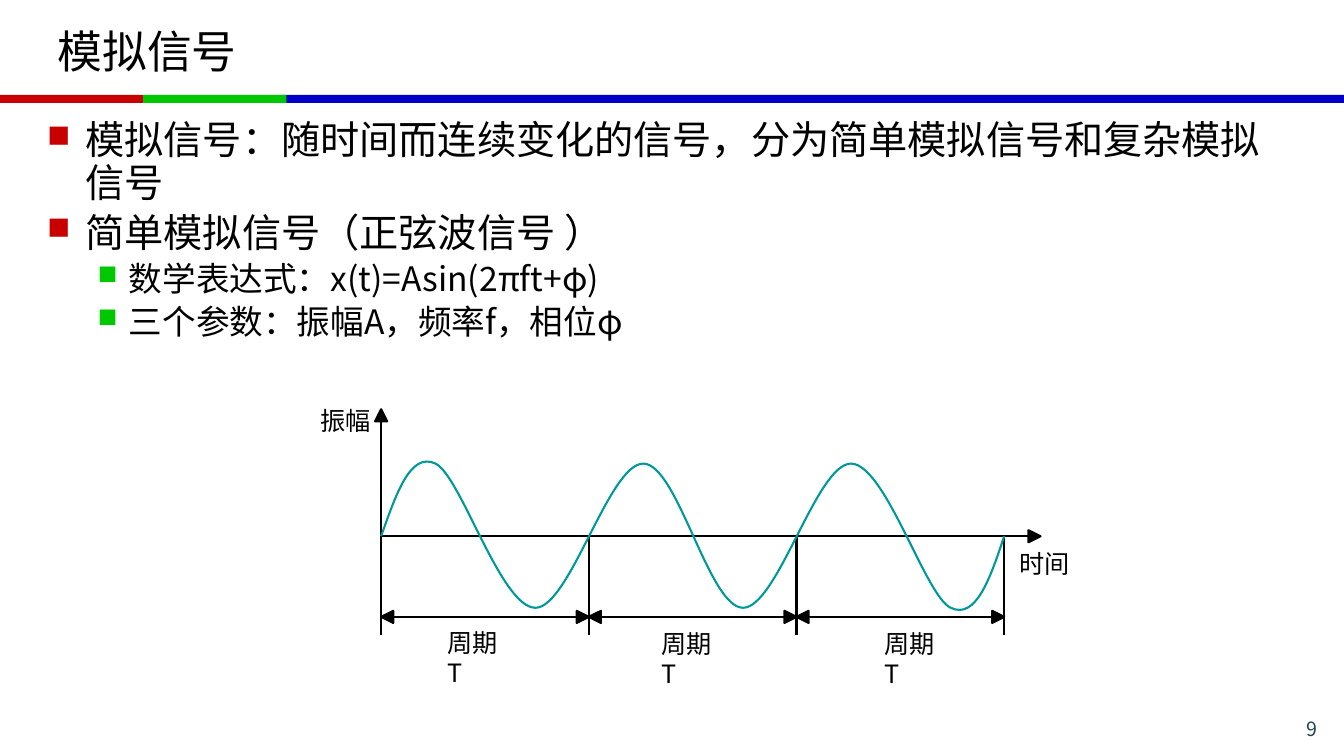
from lxml import etree
from pptx import Presentation
from pptx.dml.color import RGBColor
from pptx.enum.shapes import MSO_CONNECTOR, MSO_SHAPE
from pptx.enum.text import MSO_ANCHOR, MSO_AUTO_SIZE, PP_ALIGN
from pptx.oxml.ns import qn
from pptx.util import Inches, Pt

STRAIGHT = MSO_CONNECTOR.STRAIGHT
RECTANGLE = MSO_SHAPE.RECTANGLE
LEFT, RIGHT = PP_ALIGN.LEFT, PP_ALIGN.RIGHT

# Content
TITLE = "模拟信号"
BULLETS = [
    (0, "模拟信号：随时间而连续变化的信号，分为简单模拟信号和复杂模拟信号"),
    (0, "简单模拟信号（正弦波信号 ）"),
    (1, "数学表达式：x(t)=Asin(2πft+φ)"),
    (1, "三个参数：振幅A，频率f，相位φ"),
]
PAGE_NUMBER = "9"
AXIS_LABELS = [("振幅", 3.18, 4.02), ("时间", 10.11, 5.44)]
PERIOD_LABEL = "周期T"
PERIOD_LABEL_SPOTS = [(4.44, 6.22), (6.56, 6.23), (8.77, 6.23)]

# Look
THEME = {
    "font": "Noto Sans CJK SC", "bullet_font": "Wingdings",
    "black": "000000", "page": "1E4649", "wave": "009999",
    "red": "C80000", "green": "00C800", "blue": "0000C8",
    "title_size": 32, "label_size": 18, "page_size": 14, "line": 1.5,
}
SQUARE_BULLET = "n"  # a filled square in the bullet font
# Per bullet level: text size, bullet colour, left margin, hanging indent
LEVELS = [(28, "red", 0.38, 0.38), (24, "green", 0.81, 0.31)]

# Layout, in inches
WIDTH, HEIGHT = 13.33, 7.5
BAR_TOP, BAR_HEIGHT, BAR_STEP, BLUE_LEFT = 0.94, 0.08, 1.42, 2.79
BARS = [("blue", BLUE_LEFT, WIDTH - BLUE_LEFT),
        ("red", 0, BAR_STEP), ("green", BAR_STEP, BAR_STEP)]
ORIGIN_X, ORIGIN_Y, PERIOD, PERIOD_COUNT = 3.78, 5.32, 2.06, 3
AXIS_TOP, AXIS_RIGHT = 4.06, 10.32
TICK_BOTTOM, SPAN_Y = 6.3, 6.12
HEAD_LENGTH, HEAD_HALF, HEAD_GAP = 0.12, 0.06, 0.1
UP, FORWARD, BACK = (0, -1), (1, 0), (-1, 0)
# Start of the wave, then two control points and an end for each curve
WAVE_START = (ORIGIN_X, ORIGIN_Y)
WAVE_CURVES = [
    ((3.93, 4.9), (4.07, 4.48), (4.32, 4.6)),
    ((4.57, 4.72), (4.97, 6.03), (5.31, 6.03)),
    ((5.65, 6.03), (6.04, 4.6), (6.38, 4.6)),
    ((6.72, 4.6), (7.03, 6.03), (7.37, 6.03)),
    ((7.71, 6.03), (8.1, 4.6), (8.44, 4.6)),
    ((8.78, 4.6), (9.18, 5.92), (9.43, 6.03)),
    ((9.68, 6.15), (9.82, 5.74), (9.96, 5.32)),
]


def color(name):
    return RGBColor.from_string(THEME[name])


def add_run(paragraph, text, size, color_name="black"):
    run = paragraph.add_run()
    run.text = text
    run.font.size = Pt(size)
    run.font.color.rgb = color(color_name)
    run.font.name = THEME["font"]
    properties = run._r.get_or_add_rPr()
    etree.SubElement(properties, qn("a:ea"), typeface=THEME["font"])


def add_text_box(slide, left, top, width, height, inset=True, wrap=True):
    box = slide.shapes.add_textbox(*map(Inches, (left, top, width, height)))
    frame = box.text_frame
    frame.word_wrap = wrap
    if not inset:
        frame.margin_left = frame.margin_right = 0
        frame.margin_top = frame.margin_bottom = 0
    return frame


def add_label(slide, text, left, top, width, wrap):
    frame = add_text_box(slide, left, top, width, 0.3, inset=False, wrap=wrap)
    add_run(frame.paragraphs[0], text, THEME["label_size"])


def set_bullet(paragraph, level):
    size, color_name, margin, hanging = LEVELS[level]
    paragraph.level = level
    paragraph.line_spacing = 0.9
    paragraph.space_before = Pt(0.2 * size)
    properties = paragraph._p.get_or_add_pPr()
    properties.set("marL", str(Inches(margin)))
    properties.set("indent", str(-Inches(hanging)))
    bullet_color = etree.SubElement(properties, qn("a:buClr"))
    etree.SubElement(bullet_color, qn("a:srgbClr"), val=THEME[color_name])
    etree.SubElement(properties, qn("a:buSzPct"), val="80000")
    etree.SubElement(properties, qn("a:buFont"), typeface=THEME["bullet_font"],
                     pitchFamily="2", charset="2")
    etree.SubElement(properties, qn("a:buChar"), char=SQUARE_BULLET)


def set_outline(shape, color_name):
    shape.line.color.rgb = color(color_name)
    shape.line.width = Pt(THEME["line"])


def add_line(slide, start, end):
    line = slide.shapes.add_connector(STRAIGHT, *map(Inches, start + end))
    set_outline(line, "black")
    etree.SubElement(line._element.spPr, qn("a:effectLst"))


def add_freeform(slide, start, points, close):
    builder = slide.shapes.build_freeform(*map(Inches, start))
    builder.add_line_segments([tuple(map(Inches, point)) for point in points], close=close)
    shape = builder.convert_to_shape()
    shape.shadow.inherit = False
    return shape


def add_arrowhead(slide, tip, direction):
    (x, y), (dx, dy) = tip, direction
    base_x, base_y = x - HEAD_LENGTH * dx, y - HEAD_LENGTH * dy
    corners = [(base_x + side * dy, base_y + side * dx) for side in (HEAD_HALF, -HEAD_HALF)]
    head = add_freeform(slide, corners[0], [tip, corners[1]], close=True)
    head.fill.solid()
    head.fill.fore_color.rgb = color("black")
    set_outline(head, "black")


def add_wave(slide):
    points = [point for curve in WAVE_CURVES for point in curve]
    wave = add_freeform(slide, WAVE_START, points, close=False)
    wave.fill.background()
    set_outline(wave, "wave")
    # Join each three segments into one cubic curve
    segments = list(wave._element.iter(qn("a:lnTo")))
    for index in range(0, len(segments), 3):
        curve = etree.Element(qn("a:cubicBezTo"))
        segments[index].addprevious(curve)
        for segment in segments[index:index + 3]:
            curve.append(segment[0])
            segment.getparent().remove(segment)


def add_header(slide):
    for color_name, left, width in BARS:
        bar = slide.shapes.add_shape(
            RECTANGLE, *map(Inches, (left, BAR_TOP, width, BAR_HEIGHT)))
        bar.shadow.inherit = False
        bar.fill.solid()
        bar.fill.fore_color.rgb = color(color_name)
        bar.line.fill.background()
    title = slide.shapes.title
    title.left, title.top, title.width, title.height = map(Inches, (0.47, 0.08, 12.39, 0.84))
    frame = title.text_frame
    frame.auto_size = MSO_AUTO_SIZE.NONE
    frame.vertical_anchor = MSO_ANCHOR.MIDDLE
    frame.paragraphs[0].alignment = LEFT
    add_run(frame.paragraphs[0], TITLE, THEME["title_size"])


def add_body(slide):
    frame = add_text_box(slide, 0.37, 1.15, 12.6, 3.53)
    for index, (level, text) in enumerate(BULLETS):
        paragraph = frame.add_paragraph() if index else frame.paragraphs[0]
        set_bullet(paragraph, level)
        add_run(paragraph, text, LEVELS[level][0])


def add_diagram(slide):
    # Axes
    add_line(slide, (ORIGIN_X, TICK_BOTTOM), (ORIGIN_X, AXIS_TOP + HEAD_GAP))
    add_arrowhead(slide, (ORIGIN_X, AXIS_TOP), UP)
    add_line(slide, (ORIGIN_X, ORIGIN_Y), (AXIS_RIGHT - HEAD_GAP, ORIGIN_Y))
    add_arrowhead(slide, (AXIS_RIGHT, ORIGIN_Y), FORWARD)
    # Period ticks and spans
    for index in range(PERIOD_COUNT):
        left = ORIGIN_X + index * PERIOD
        right = left + PERIOD
        add_line(slide, (right, ORIGIN_Y), (right, TICK_BOTTOM))
        add_line(slide, (left + HEAD_GAP, SPAN_Y), (right - HEAD_GAP, SPAN_Y))
        add_arrowhead(slide, (left, SPAN_Y), BACK)
        add_arrowhead(slide, (right, SPAN_Y), FORWARD)
    add_wave(slide)
    # Labels
    for text, left, top in AXIS_LABELS:
        add_label(slide, text, left, top, 0.5, wrap=False)
    for left, top in PERIOD_LABEL_SPOTS:
        add_label(slide, PERIOD_LABEL, left, top, 0.64, wrap=True)


presentation = Presentation()
presentation.slide_width, presentation.slide_height = Inches(WIDTH), Inches(HEIGHT)
slide = presentation.slides.add_slide(presentation.slide_layouts.get_by_name("Title Only"))
add_header(slide)
add_body(slide)
add_diagram(slide)
page = add_text_box(slide, 11.86, 7.06, 1.3, 0.28).paragraphs[0]
page.alignment = RIGHT
add_run(page, PAGE_NUMBER, THEME["page_size"], "page")
presentation.save("out.pptx")
